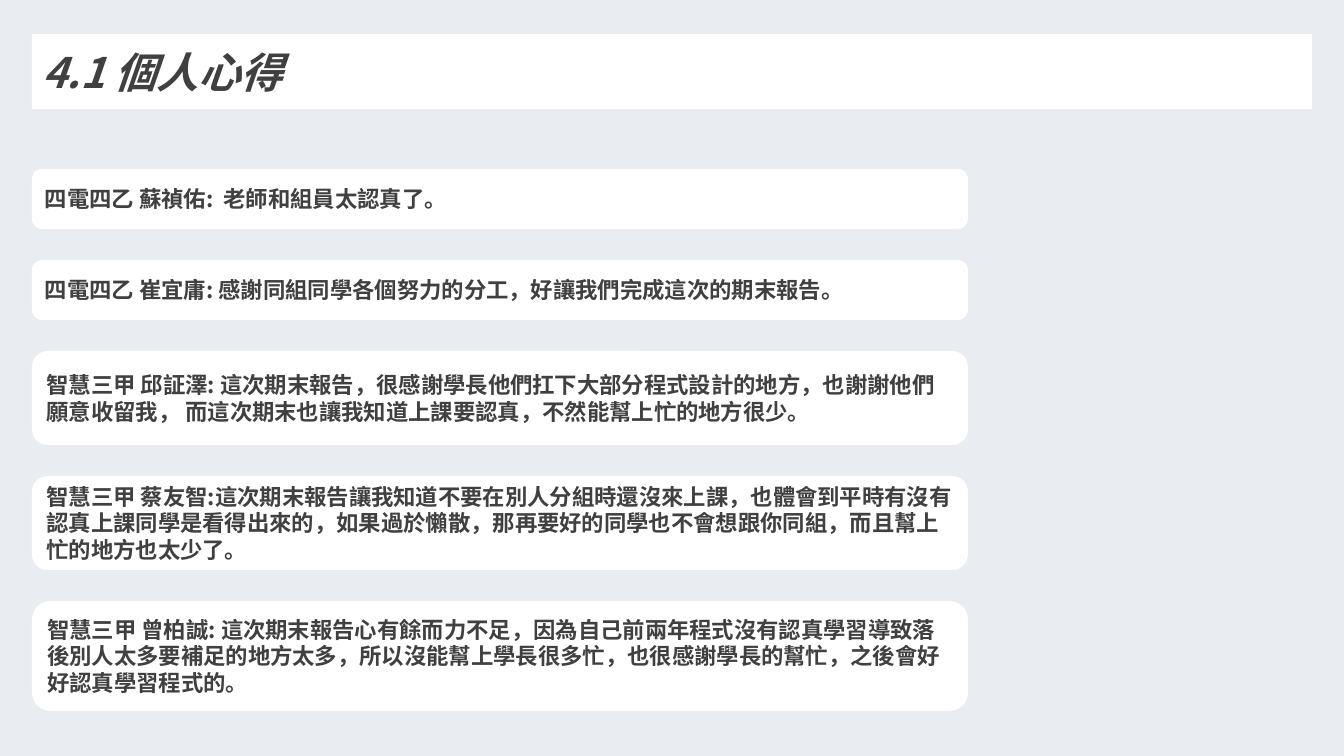
from lxml.etree import SubElement
from pptx import Presentation
from pptx.dml.color import RGBColor
from pptx.enum.shapes import MSO_SHAPE
from pptx.enum.text import MSO_ANCHOR, MSO_AUTO_SIZE, PP_ALIGN
from pptx.oxml.ns import qn
from pptx.util import Emu, Pt

COLORS = {"background": "E9ECF1", "card": "FFFFFF", "text": "404040"}
FONT = "Noto Sans CJK SC"
SCALE = 12192000 / 1344


def px(length):
    return Emu(round(length * SCALE))


def fill_card(card, text, size, italic=False):
    card.fill.solid()
    card.fill.fore_color.rgb = RGBColor.from_string(COLORS["card"])
    card.line.fill.background()
    frame = card.text_frame
    frame.word_wrap = True
    frame.auto_size = MSO_AUTO_SIZE.NONE
    frame.vertical_anchor = MSO_ANCHOR.MIDDLE
    para = frame.paragraphs[0]
    para.alignment = PP_ALIGN.LEFT
    span = para.add_run()
    span.text = text
    span.font.size = Pt(size)
    span.font.bold = True
    span.font.italic = italic
    span.font.name = FONT
    span.font.color.rgb = RGBColor.from_string(COLORS["text"])
    SubElement(span.font._element, qn("a:ea"), typeface=FONT)


deck = Presentation()
deck.slide_width = px(1344)
deck.slide_height = px(756)
page = deck.slides.add_slide(deck.slide_layouts[5])
page.background.fill.solid()
page.background.fill.fore_color.rgb = RGBColor.from_string(COLORS["background"])

title = page.shapes.title
title.left, title.top, title.width, title.height = px(32), px(34), px(1280), px(75)
geometry = SubElement(title.element.spPr, qn("a:prstGeom"), prst="roundRect")
SubElement(geometry, qn("a:avLst"))
fill_card(title, "4.1 個人心得", 30, italic=True)

comments = [
    (60, "四電四乙 蘇禎佑:  老師和組員太認真了。"),
    (60, "四電四乙 崔宜庸: 感謝同組同學各個努力的分工，好讓我們完成這次的期末報告。"),
    (94, "智慧三甲 邱証澤: 這次期末報告，很感謝學長他們扛下大部分程式設計的地方，"
         "也謝謝他們願意收留我， 而這次期末也讓我知道上課要認真，不然能幫上忙的地方很少。"),
    (94, "智慧三甲 蔡友智:這次期末報告讓我知道不要在別人分組時還沒來上課，"
         "也體會到平時有沒有認真上課同學是看得出來的，如果過於懶散，"
         "那再要好的同學也不會想跟你同組，而且幫上忙的地方也太少了。"),
    (110, "智慧三甲 曾柏誠: 這次期末報告心有餘而力不足，"
          "因為自己前兩年程式沒有認真學習導致落後別人太多要補足的地方太多，"
          "所以沒能幫上學長很多忙，也很感謝學長的幫忙，之後會好好認真學習程式的。"),
]
top = 169
gap = 31
for height, comment in comments:
    box = page.shapes.add_shape(
        MSO_SHAPE.ROUNDED_RECTANGLE, px(32), px(top), px(936), px(height)
    )
    box.shadow.inherit = False
    fill_card(box, comment, 16)
    top += height + gap

deck.save("out.pptx")
